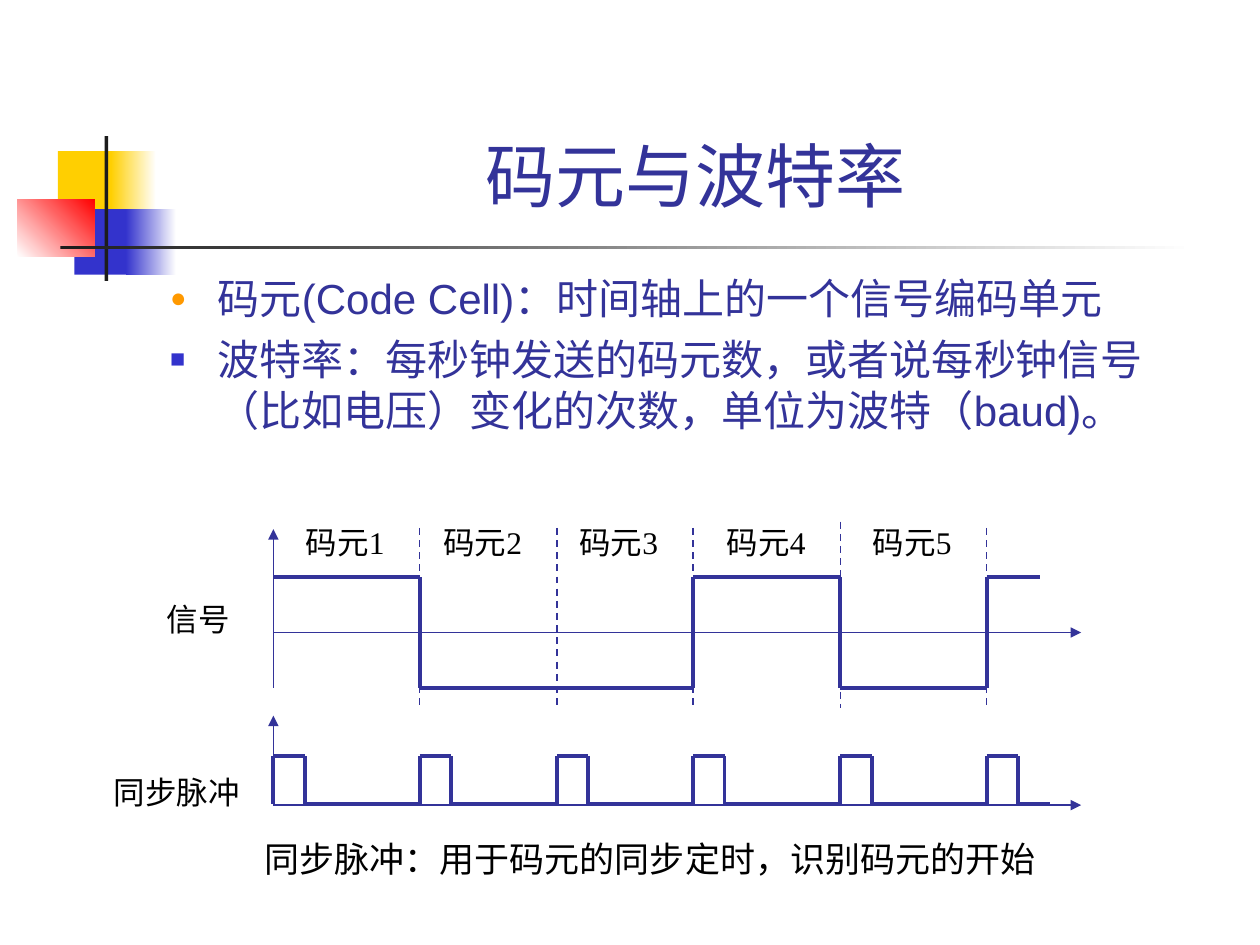
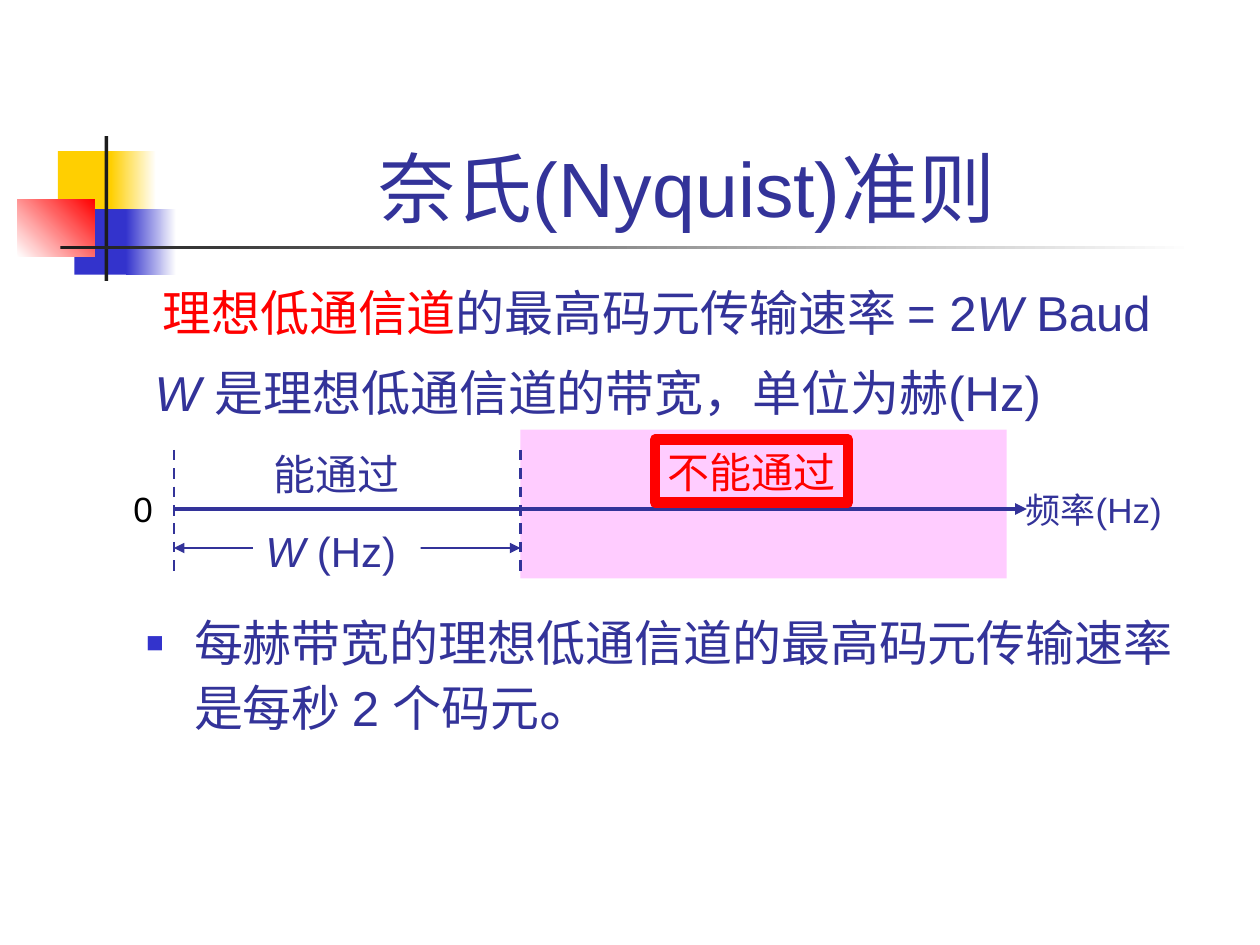
from itertools import pairwise

from lxml import etree
from pptx import Presentation
from pptx.dml.color import RGBColor
from pptx.enum.dml import MSO_LINE
from pptx.enum.shapes import MSO_CONNECTOR, MSO_SHAPE
from pptx.enum.text import MSO_ANCHOR, MSO_AUTO_SIZE, PP_ALIGN
from pptx.oxml.ns import qn
from pptx.util import Inches, Pt

RECT = MSO_SHAPE.RECTANGLE
STRAIGHT = MSO_CONNECTOR.STRAIGHT
DASH = MSO_LINE.DASH
LEFT, CENTER, RIGHT = PP_ALIGN.LEFT, PP_ALIGN.CENTER, PP_ALIGN.RIGHT
TOP, BOTTOM = MSO_ANCHOR.TOP, MSO_ANCHOR.BOTTOM
NO_FIT = MSO_AUTO_SIZE.NONE

COLORS = {
    "ink": "333399", "blue": "3333CC", "yellow": "FFCF01", "red": "FF0000",
    "orange": "FF9900", "dark": "1C1C1C", "pink": "FFCCFF",
    "black": "000000", "white": "FFFFFF",
}
SANS, SERIF, ROBOTO, CJK = "Arial", "Times New Roman", "Roboto", "Noto Sans CJK SC"
LEADING = 1.21

# Corner emblem and title rule: box, colours from start to end, angle
EMBLEM = [
    ((0.46, 1.2, 0.48, 0.52), ("yellow",), 0),
    ((0.88, 1.2, 0.36, 0.52), ("yellow", "white"), 0),
    ((0.59, 1.66, 0.46, 0.52), ("blue",), 0),
    ((1, 1.66, 0.4, 0.52), ("blue", "white"), 0),
    ((0.14, 1.58, 0.61, 0.46), ("white", "red"), 45),
    ((0.83, 1.08, 0.03, 1.15), ("dark",), 0),
    ((0.48, 1.95, 9, 0.03), ("dark", "white"), 0),
]


def rgb(name):
    return RGBColor.from_string(COLORS[name])


class Deck:
    def __init__(self):
        self.prs = Presentation()
        self.prs.slide_width, self.prs.slide_height = Inches(10), Inches(7.5)
        self.s = None

    def new_slide(self, title, box, size):
        self.s = self.prs.slides.add_slide(self.prs.slide_layouts[1])
        for emblem_box, fills, angle in EMBLEM:
            self.rect(emblem_box, fills, angle)
        sp = self.s.shapes.title
        self.place(sp, box)
        self.frame(sp.text_frame, BOTTOM)
        self.add_runs(sp.text_frame.paragraphs[0], [(title, {})], size, align=CENTER)

    def place(self, sp, box):
        sp.left, sp.top, sp.width, sp.height = map(Inches, box)

    def frame(self, tf, anchor=TOP, right=0.1):
        tf.word_wrap = True
        tf.auto_size = NO_FIT
        tf.vertical_anchor = anchor
        tf.margin_left, tf.margin_right = Inches(0.1), Inches(right)
        tf.margin_top = tf.margin_bottom = Inches(0.05)

    def add_runs(self, p, runs, size, font=SANS, color="ink", align=LEFT,
                 leading=None, before=0):
        p.alignment = align
        p.line_spacing = Pt(leading or round(size * LEADING))
        p.space_before = Pt(before)
        for text, style in runs:
            r = p.add_run()
            r.text = text
            r.font.size = Pt(style.get("size", size))
            r.font.italic = style.get("italic", False)
            r.font.color.rgb = rgb(style.get("color", color))
            r.font.name = font
            etree.SubElement(r.font._element, qn("a:ea"), typeface=CJK)

    def bullet(self, p, char, color, percent):
        pPr = p._p.get_or_add_pPr()
        pPr.set("marL", str(Inches(0.38)))
        pPr.set("indent", str(Inches(-0.38)))
        clr = etree.SubElement(pPr, qn("a:buClr"))
        etree.SubElement(clr, qn("a:srgbClr"), val=COLORS[color])
        etree.SubElement(pPr, qn("a:buSzPct"), val=str(percent * 1000))
        etree.SubElement(pPr, qn("a:buFont"), typeface=SANS)
        etree.SubElement(pPr, qn("a:buChar"), char=char)

    def body(self, box, items, size, leading, before=0):
        sp = self.s.placeholders[1]
        self.place(sp, box)
        tf = sp.text_frame
        self.frame(tf)
        for i, (mark, runs) in enumerate(items):
            p = tf.add_paragraph() if i else tf.paragraphs[0]
            self.bullet(p, *mark)
            self.add_runs(p, runs, size, leading=leading, before=before if i else 0)

    def label(self, box, runs, size, font=SANS, color="ink", align=LEFT):
        tb = self.s.shapes.add_textbox(*map(Inches, box))
        self.fill_text(tb, runs, size, font, color, align)

    def fill_text(self, sp, runs, size, font=SANS, color="ink", align=LEFT):
        if isinstance(runs, str):
            runs = [(runs, {})]
        tf = sp.text_frame
        self.frame(tf, right=0.1 if align == RIGHT else 0)
        self.add_runs(tf.paragraphs[0], runs, size, font, color, align)

    def rect(self, box, fills=(), angle=0, outline=None, weight=1):
        sp = self.s.shapes.add_shape(RECT, *map(Inches, box))
        sp.shadow.inherit = False
        if len(fills) == 2:
            sp.fill.gradient()
            sp.fill.gradient_angle = angle
            for stop, name in zip(sp.fill.gradient_stops, fills):
                stop.color.rgb = rgb(name)
        elif fills:
            sp.fill.solid()
            sp.fill.fore_color.rgb = rgb(fills[0])
        else:
            sp.fill.background()
        if outline:
            sp.line.color.rgb = rgb(outline)
            sp.line.width = Pt(weight)
        else:
            sp.line.fill.background()
        return sp

    def line(self, start, end, weight=1, dash=None, arrows=()):
        cx = self.s.shapes.add_connector(STRAIGHT, *map(Inches, (*start, *end)))
        cx.line.color.rgb = rgb("ink")
        cx.line.width = Pt(weight)
        if dash:
            cx.line.dash_style = dash
        for side in arrows:
            etree.SubElement(cx.line._get_or_add_ln(), qn(f"a:{side}"), type="triangle")
        etree.SubElement(cx._element.spPr, qn("a:effectLst"))

    def polyline(self, points, weight):
        for start, end in pairwise(points):
            self.line(start, end, weight)


def baud_slide(deck):
    deck.new_slide("码元与波特率", (3.68, 0.56, 3.68, 1.21), 40)
    deck.body((1.25, 2.11, 7.92, 1.67), [
        (("●", "orange", 65), [("码元(Code Cell)：时间轴上的一个信号编码单元", {})]),
        (("■", "blue", 60), [("波特率：每秒钟发送的码元数，或者说每秒钟信号（比如电压）"
                              "变化的次数，单位为波特（baud)。", {})]),
    ], 24, leading=29, before=6)

    # Axes and cell boundaries
    edges = [2.17, 3.33, 4.42, 5.5, 6.67, 7.83]
    x0, x_end = edges[0], 8.58
    for top, bottom, axis in [(4.2, 5.46, 5.02), (5.68, 6.39, 6.39)]:
        deck.line((x0, top), (x0, bottom), arrows=["headEnd"])
        deck.line((x0, axis), (x_end, axis), arrows=["tailEnd"])
    for x in edges[1:]:
        deck.line((x, 4.14 if x == 6.67 else 4.19), (x, 5.62), dash=DASH)

    # Signal: one level for each cell
    high, low = 4.58, 5.46
    levels = [high, low, low, high, low, high]
    signal = []
    for x, nxt, y in zip(edges, edges[1:] + [8.25], levels):
        if signal and signal[-1][1] == y:
            signal.pop()
        else:
            signal.append((x, y))
        signal.append((nxt, y))
    deck.polyline(signal, 2.25)

    # Clock pulses: one at the start of each cell
    high, low, width = 6, 6.38, 0.25
    pulses = []
    for x in edges:
        pulses += [(x, low), (x, high), (x + width, high), (x + width, low)]
    deck.polyline(pulses + [(8.33, low)], 2.25)

    # Labels
    for i, x in enumerate([2.33, 3.42, 4.5, 5.67, 6.83], 1):
        deck.label((x, 4.1, 0.92, 0.4), f"码元{i}", 18, SERIF, "black")
    deck.label((1, 4.71, 0.92, 0.4), "信号", 18, SERIF, "black", RIGHT)
    deck.label((0.58, 6.08, 1.42, 0.4), "同步脉冲", 18, SERIF, "black", RIGHT)
    deck.label((2, 6.6, 6.5, 0.44), "同步脉冲：用于码元的同步定时，识别码元的开始",
               20, SERIF, "black")


def nyquist_slide(deck):
    deck.new_slide("奈氏(Nyquist)准则 ", (1.26, 0.3, 8.52, 1.6), 44)
    deck.body((1.06, 4.75, 8.5, 1.14), [
        (("■", "blue", 60), [("每赫带宽的理想低通信道的最高码元传输速率是每秒 2 个码元", {}),
                             ("。", {"size": 32})]),
    ], 28, leading=38)

    # Statements
    italic = {"italic": True}
    deck.label((1.19, 2.19, 8.4, 0.57), [
        ("理想低通信道", {"color": "red"}), ("的最高码元传输速率 = 2", {}),
        ("W", italic), (" Baud", {})], 28)
    deck.label((1.13, 2.82, 7.7, 0.57), [
        ("W ", italic), ("是理想低通信道的带宽，单位为赫(Hz)", {})], 28)

    # Frequency axis with pass band and stop band
    origin, cutoff = 1.38, 4.13
    deck.rect((cutoff, 3.41, 3.86, 1.18), ["pink"])
    deck.line((origin, 4.04), (8.15, 4.04), 2.25, arrows=["tailEnd"])
    stop = deck.rect((5.2, 3.49, 1.53, 0.5), outline="red", weight=6)
    deck.fill_text(stop, "不能通过", 24, ROBOTO, "red")
    deck.label((2.07, 3.51, 1.3, 0.5), "能通过", 24, ROBOTO)
    deck.label((0.96, 3.82, 0.35, 0.44), "0", 20, color="black")
    deck.label((8.04, 3.83, 1.45, 0.44), "频率(Hz)", 20)

    # Bandwidth dimension
    for x in (origin, cutoff):
        deck.line((x, 3.57), (x, 4.59), 1.5, DASH)
    deck.line((origin, 4.35), (cutoff, 4.35), 1.5, arrows=["headEnd", "tailEnd"])
    width = deck.rect((2.01, 4.12, 1.33, 0.5), ["white"])
    deck.fill_text(width, [("W ", italic), ("(Hz)", {})], 24)


def main():
    deck = Deck()
    baud_slide(deck)
    nyquist_slide(deck)
    deck.prs.save("out.pptx")


if __name__ == "__main__":
    main()
